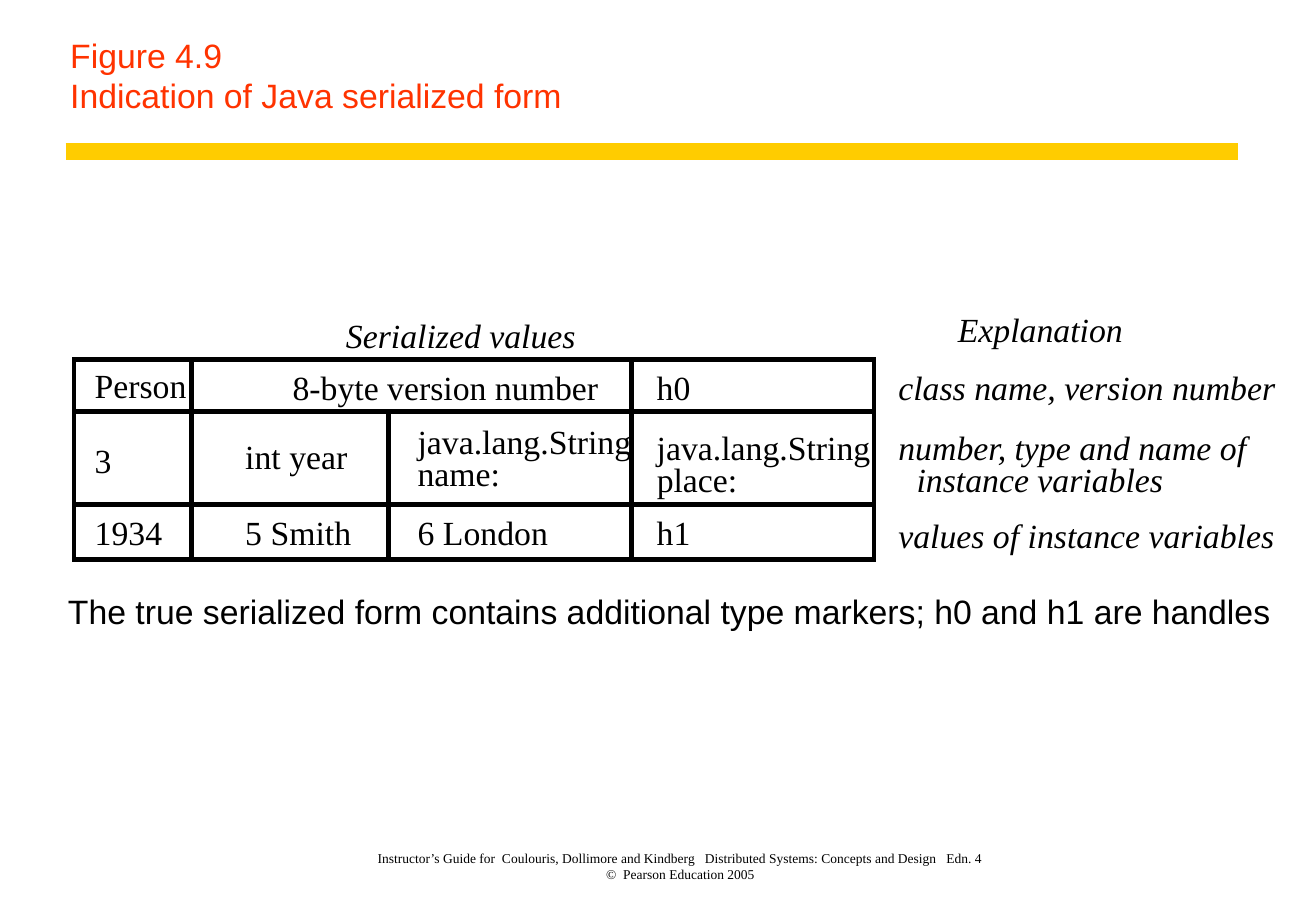
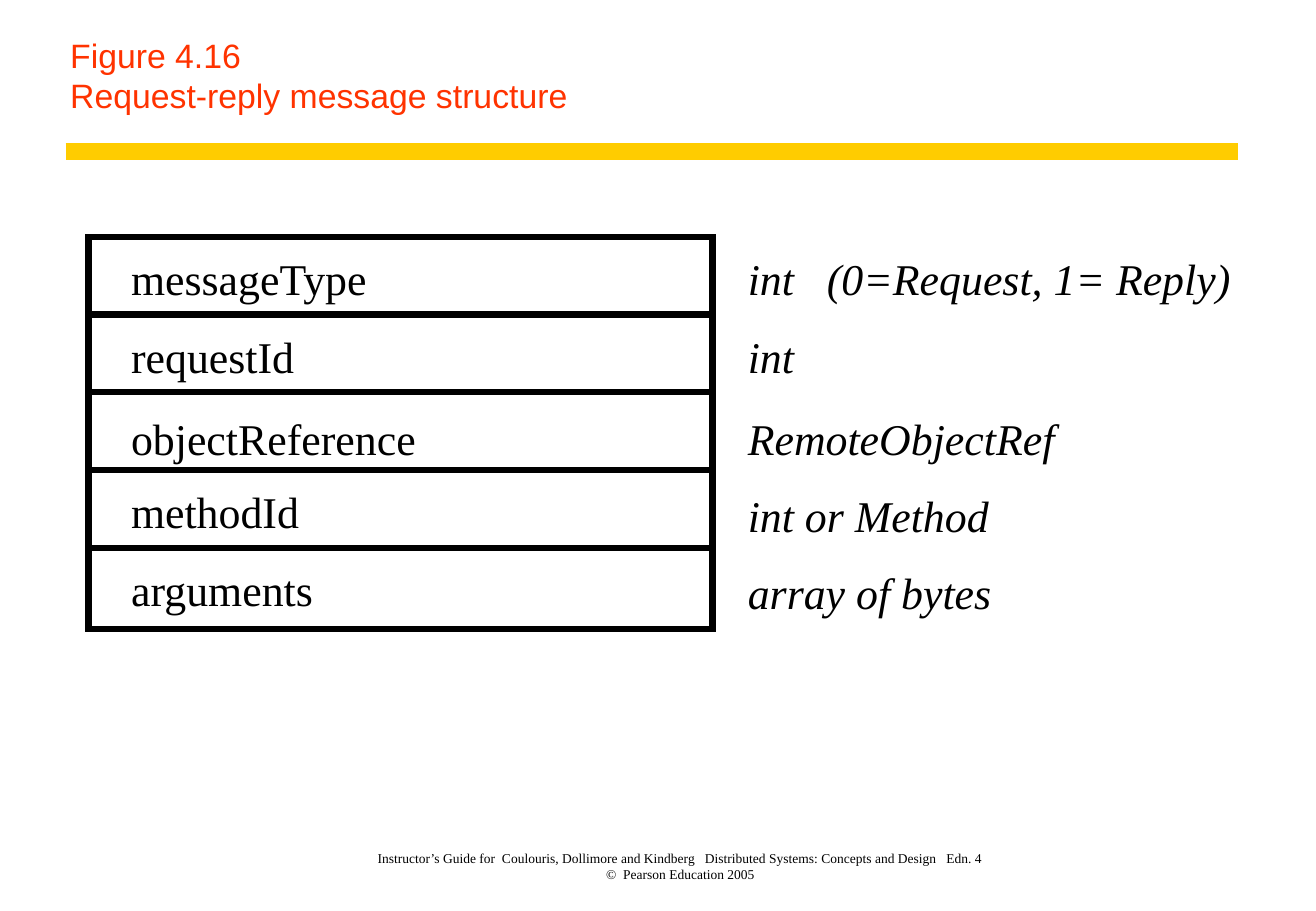
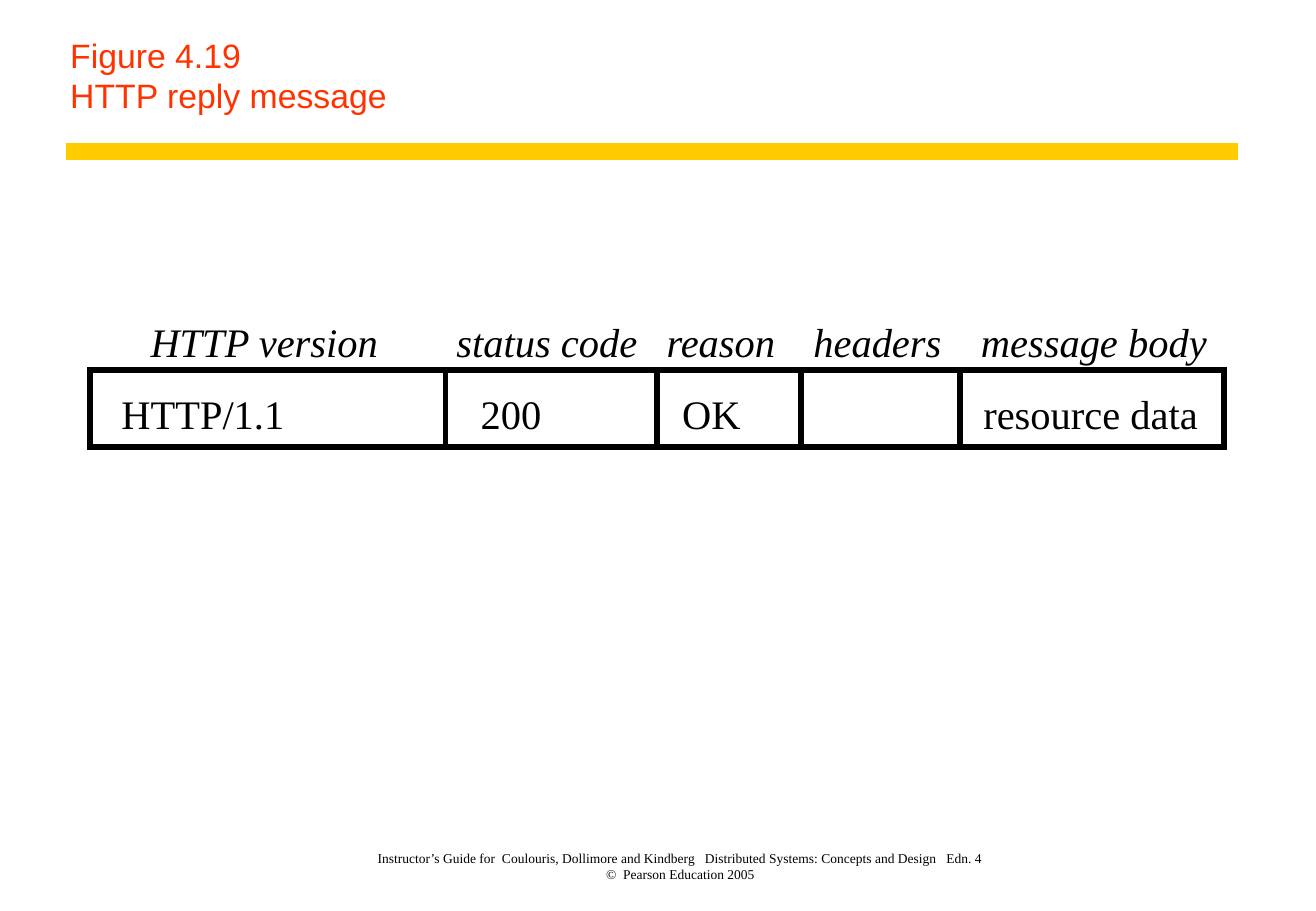
"""Build three figure slides about messages and serialized data."""

from dataclasses import dataclass
from typing import NamedTuple

from lxml.etree import SubElement
from pptx import Presentation
from pptx.dml.color import RGBColor
from pptx.enum.shapes import MSO_CONNECTOR as Link, MSO_SHAPE as Shape
from pptx.enum.text import MSO_ANCHOR as Anchor, MSO_AUTO_SIZE as Fit, PP_ALIGN as Align
from pptx.oxml.ns import qn
from pptx.slide import Slide
from pptx.util import Inches, Pt

WIDTH, HEIGHT = 10.84, 7.5
SLACK = 0.08
RED = RGBColor(0xFF, 0x33, 0x00)
GOLD = RGBColor(0xFF, 0xCC, 0x00)
BLACK = RGBColor(0, 0, 0)
SANS, SERIF = "Arial", "Times New Roman"
FOOTER = (
    "Instructor’s Guide for  Coulouris, Dollimore and Kindberg   "
    "Distributed Systems: Concepts and Design   Edn. 4\v"
    "©  Pearson Education 2005"
)


class Box(NamedTuple):
    left: float
    top: float
    width: float
    height: float

    @property
    def right(self) -> float:
        return self.left + self.width

    @property
    def base(self) -> float:
        return self.top + self.height


class Rule(NamedTuple):
    left: float
    top: float
    right: float
    base: float


class Label(NamedTuple):
    left: float
    top: float
    width: float
    words: str
    slant: bool = False
    face: str = SERIF


@dataclass
class Figure:
    title: str
    frame: Box
    weight: float
    size: int
    rules: list[Rule]
    labels: list[Label]


def add_text(slide: Slide, box: Box, words: str, size: int, face: str, color: RGBColor):
    shape = slide.shapes.add_textbox(*map(Inches, box))
    frame = shape.text_frame
    frame.word_wrap = True
    frame.text = words
    par = frame.paragraphs[0]
    par.font.size, par.font.name = Pt(size), face
    par.font.color.rgb = color
    return frame


def add_rule(slide: Slide, rule: Rule, color: RGBColor, weight: float) -> None:
    line = slide.shapes.add_connector(Link.STRAIGHT, *map(Inches, rule))
    line.line.color.rgb = color
    line.line.width = Pt(weight)
    SubElement(line._element.spPr, qn("a:effectLst"))


def add_frame(slide: Slide, box: Box, weight: float) -> None:
    frame = slide.shapes.add_shape(Shape.RECTANGLE, *map(Inches, box))
    frame.shadow.inherit = False
    frame.fill.background()
    frame.line.color.rgb = BLACK
    frame.line.width = Pt(weight)
    SubElement(frame._element.spPr.find(qn("a:ln")), qn("a:miter"), lim="800000")


def add_label(slide: Slide, label: Label, size: int) -> None:
    box = Box(label.left, label.top, label.width + SLACK, size / 60)
    frame = add_text(slide, box, label.words, size, label.face, BLACK)
    frame.margin_left = frame.margin_right = frame.margin_top = frame.margin_bottom = 0
    frame.word_wrap = False
    frame.auto_size = Fit.SHAPE_TO_FIT_TEXT
    frame.paragraphs[0].font.italic = label.slant


def add_base(slide: Slide, title: str) -> None:
    add_rule(slide, Rule(0.54, 1.25, 10.2, 1.25), GOLD, 10)
    foot = add_text(slide, Box(2.31, 7, 6.59, 0.31), FOOTER, 8, SERIF, BLACK)
    foot.paragraphs[0].alignment = Align.CENTER
    head = add_text(slide, Box(0.48, 0.25, 9.72, 0.75), title, 20, SANS, RED)
    for frame in (foot, head):
        frame.vertical_anchor = Anchor.BOTTOM


def draw(slide: Slide, figure: Figure) -> None:
    add_base(slide, figure.title)
    add_frame(slide, figure.frame, figure.weight)
    for rule in figure.rules:
        add_rule(slide, rule, BLACK, figure.weight)
    for label in figure.labels:
        add_label(slide, label, figure.size)


def across(box: Box, tops: list[float]) -> list[Rule]:
    return [Rule(box.left, top, box.right, top) for top in tops]


def down(box: Box, lefts: list[float]) -> list[Rule]:
    return [Rule(left, box.top, left, box.base) for left in lefts]


def serial_form() -> Figure:
    box = Box(0.61, 2.96, 6.59, 1.65)
    one, two, three, four, note = 0.78, 2.02, 3.44, 5.41, 7.4
    top, mid, low, last = 3.02, 3.51, 3.78, 4.21
    return Figure(
        "Figure 4.9\vIndication of Java serialized form", box, 2.86, 20,
        across(box, [3.39, 4.15]) + down(box, [1.58, 5.2])
        + [Rule(3.2, 3.39, 3.2, box.base)],
        [
            Label(0.56, 4.86, 9.92, "The true serialized form contains additional "
                  "type markers; h0 and h1 are handles", face=SANS),
            Label(2.85, 2.59, 1.89, "Serialized values", True),
            Label(one, 3, 0.76, "Person"),
            Label(one, 3.62, 0.14, "3"),
            Label(one, last, 0.56, "1934"),
            Label(2.41, top, 2.52, "8-byte version number"),
            Label(two, 3.59, 0.84, "int year"),
            Label(two, last, 0.87, "5 Smith"),
            Label(three, 3.46, 1.76, "java.lang.String"),
            Label(three, 3.73, 0.68, "name:"),
            Label(three, last, 1.08, "6 London"),
            Label(four, top, 0.28, "h0"),
            Label(four, mid, 1.76, "java.lang.String"),
            Label(four, low, 0.67, "place:"),
            Label(four, last, 0.28, "h1"),
            Label(7.89, 2.54, 1.36, "Explanation", True),
            Label(note, top, 3.11, "class name, version number", True),
            Label(note, mid, 2.97, "number, type and name of", True),
            Label(7.55, low, 2.1, "instance variables", True),
            Label(note, 4.24, 3.1, "values of instance variables", True),
        ],
    )


def request() -> Figure:
    box = Box(0.73, 1.95, 5.14, 3.23)
    name, kind = 1.08, 6.16
    one, two, three = 2.07, 2.71, 3.39
    return Figure(
        "Figure 4.16\vRequest-reply message structure", box, 3.75, 26,
        across(box, [box.top + 0.64 * row for row in range(1, 5)]),
        [
            Label(name, one, 1.97, "messageType"),
            Label(name, two, 1.35, "requestId"),
            Label(name, three, 2.35, "objectReference"),
            Label(name, 3.99, 1.39, "methodId"),
            Label(name, 4.63, 1.51, "arguments"),
            Label(kind, one, 3.98, "int   (0=Request, 1= Reply)", True),
            Label(kind, two, 0.38, "int", True),
            Label(kind, three, 2.53, "RemoteObjectRef", True),
            Label(kind, 4.02, 1.99, "int or Method", True),
            Label(kind, 4.66, 2.01, "array of bytes", True),
        ],
    )


def reply() -> Figure:
    box = Box(0.74, 3.05, 9.34, 0.63)
    head, cell = 2.61, 3.2
    return Figure(
        "Figure 4.19\vHTTP reply message", box, 3.5, 24,
        down(box, [3.67, 5.41, 6.6, 7.91]),
        [
            Label(1, cell, 1.43, "HTTP/1.1"),
            Label(3.96, cell, 0.5, "200"),
            Label(5.62, cell, 0.48, "OK"),
            Label(8.1, cell, 1.77, "resource data"),
            Label(1.24, head, 1.88, "HTTP version", True),
            Label(3.76, head, 1.49, "status code", True),
            Label(5.49, head, 0.91, "reason", True),
            Label(6.7, head, 1.06, "headers", True),
            Label(8.08, head, 1.86, "message body", True),
        ],
    )


def main() -> None:
    deck = Presentation()
    deck.slide_width, deck.slide_height = Inches(WIDTH), Inches(HEIGHT)
    for figure in (serial_form(), request(), reply()):
        draw(deck.slides.add_slide(deck.slide_layouts[6]), figure)
    deck.save("out.pptx")


if __name__ == "__main__":
    main()
